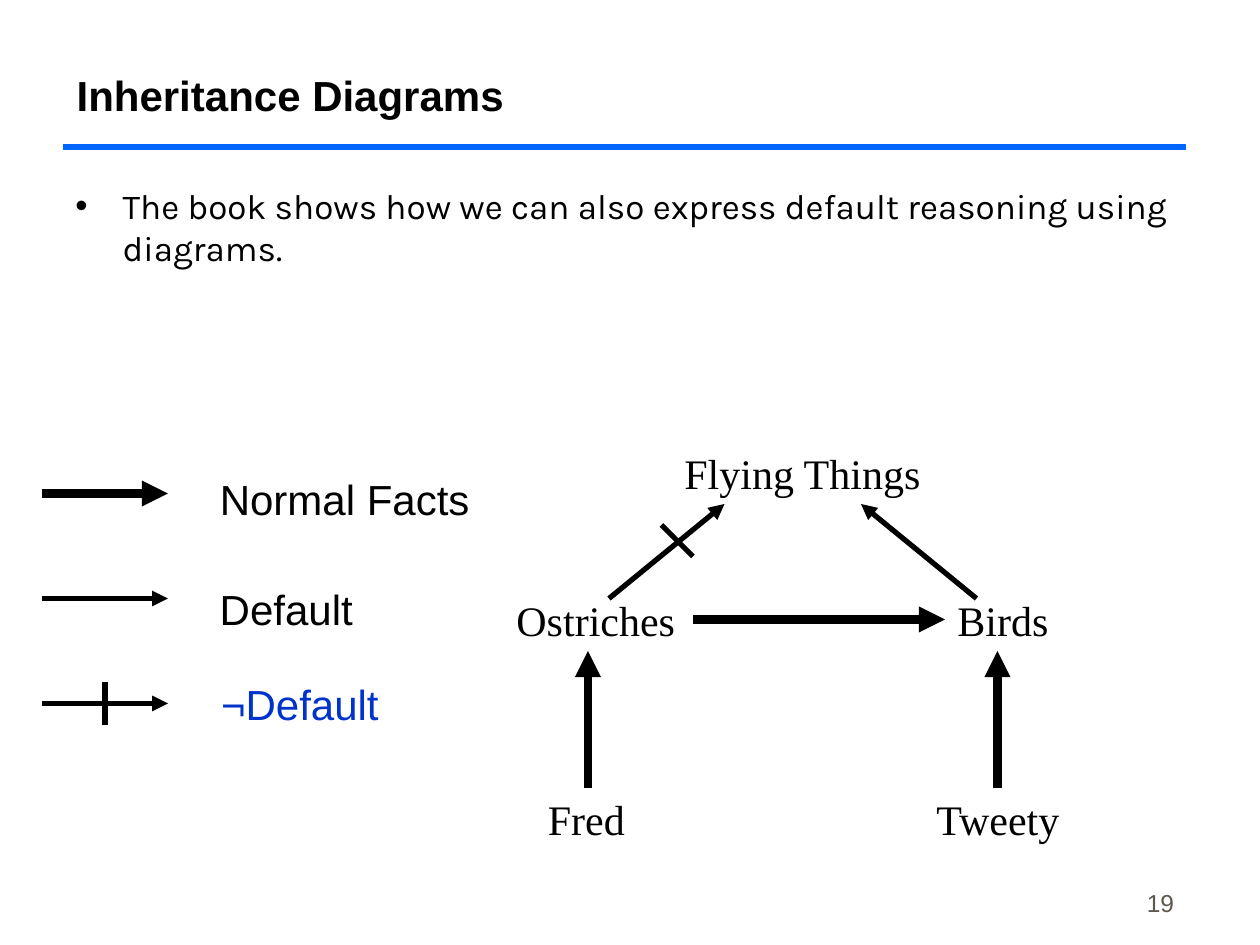
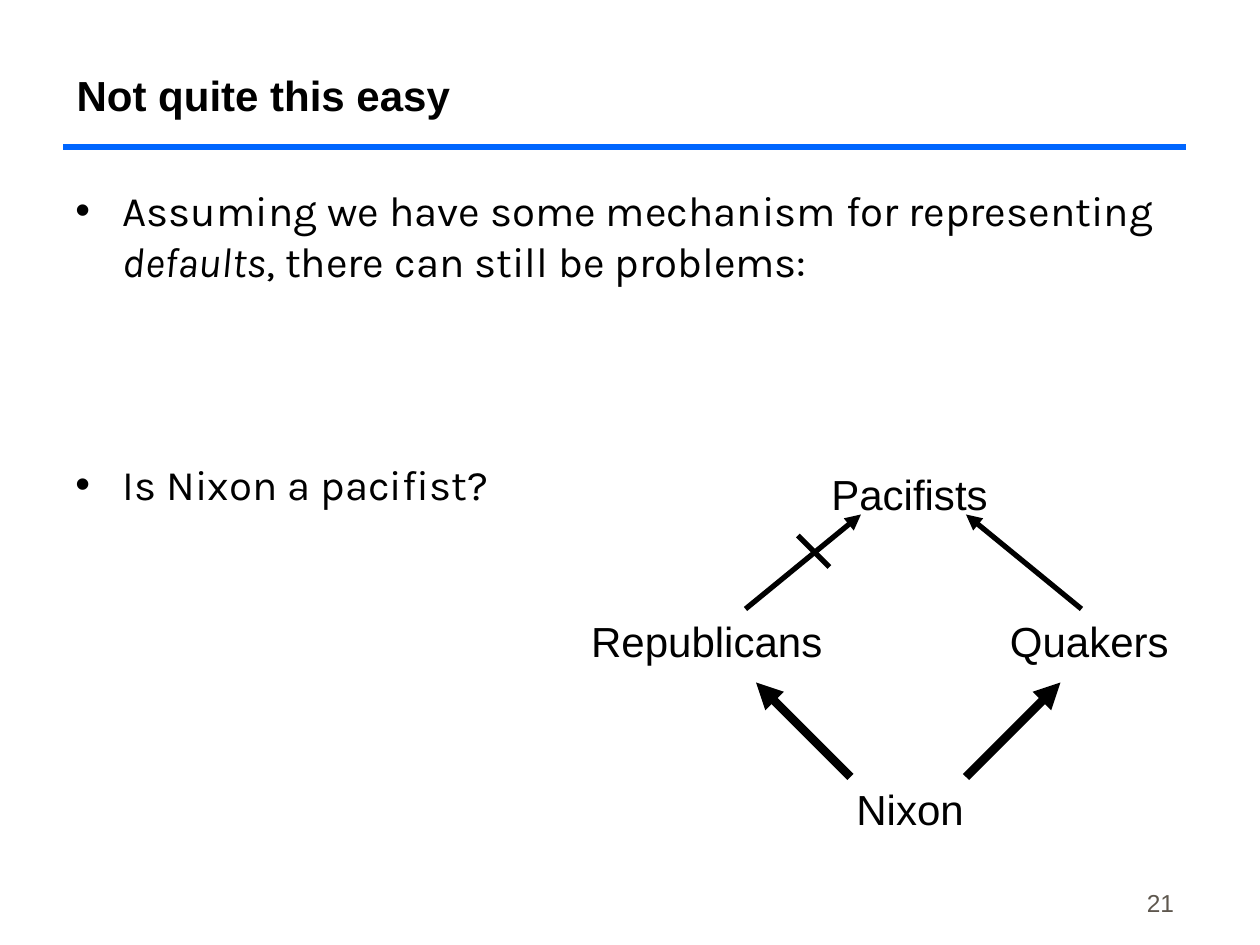
"""Build two slides on default reasoning with inheritance diagrams."""
from lxml.etree import SubElement
from pptx import Presentation
from pptx.dml.color import RGBColor
from pptx.enum.shapes import MSO_CONNECTOR
from pptx.enum.text import MSO_ANCHOR, PP_ALIGN
from pptx.oxml.ns import qn
from pptx.util import Pt

PX = 9525
BLACK = RGBColor(0x00, 0x00, 0x00)
RULE_BLUE = RGBColor(0x00, 0x66, 0xFF)
LABEL_BLUE = RGBColor(0x00, 0x33, 0xCC)
NUMBER_GREY = RGBColor(0x5E, 0x57, 0x4E)
THIN, THICK = 3, 5
INDENT = 36

SLIDES = [
    {
        "title": "Inheritance Diagrams",
        "number": "19",
        "body_height": 139,
        "body_size": 20,
        "bullets": [
            (5, ["The book shows how we can also express default reasoning using diagrams."]),
        ],
        "node_font": "Times New Roman",
        "nodes": [
            ("Flying Things", 512, 336, 206),
            ("Birds", 720, 448, 94),
            ("Ostriches", 384, 448, 146),
            ("Fred", 408, 600, 84),
            ("Tweety", 704, 600, 121),
        ],
        "arrows": [
            (448, 600, 448, 496, THICK),
            (760, 600, 760, 496, THICK),
            (528, 472, 720, 472, THICK),
            (464, 456, 552, 384, THIN),
            (744, 456, 656, 384, THIN),
        ],
        "strikes": [(528, 424, 504, 400), (80, 552, 80, 520)],
        "legend": [
            ("Normal Facts", 158, 356, 215, BLACK, THICK),
            ("Default", 158, 440, 126, BLACK, THIN),
            ("¬Default", 159, 512, 147, LABEL_BLUE, THIN),
        ],
    },
    {
        "title": "Not quite this easy",
        "number": "21",
        "body_height": 500,
        "body_size": 24,
        "bullets": [
            (6, ["Assuming we have some mechanism for representing ", "defaults",
                 ", there can still be problems:"]),
            (99, ["Is Nixon a pacifist?"]),
        ],
        "node_font": "Arial",
        "nodes": [
            ("Nixon", 643, 592, 107),
            ("Quakers", 760, 464, 146),
            ("Republicans", 441, 464, 201),
            ("Pacifists", 624, 352, 144),
        ],
        "arrows": [
            (736, 592, 808, 520, THICK),
            (648, 592, 576, 520, THICK),
            (824, 464, 736, 392, THIN),
            (568, 464, 656, 392, THIN),
        ],
        "strikes": [(632, 432, 608, 408)],
        "legend": [],
    },
]


def add_text(page, left, top, width, height, text, size=24, font="Arial", color=BLACK):
    box = page.shapes.add_textbox(left * PX, top * PX, width * PX, height * PX)
    frame = box.text_frame
    frame.word_wrap = True
    frame.text = text
    style = frame.paragraphs[0].runs[0].font
    style.size, style.name = Pt(size), font
    style.color.rgb = color
    return frame


def add_line(page, x1, y1, x2, y2, weight, color=BLACK, arrow=False):
    line = page.shapes.add_connector(MSO_CONNECTOR.STRAIGHT, x1 * PX, y1 * PX, x2 * PX, y2 * PX)
    line.line.color.rgb = color
    line.line.width = Pt(weight)
    if arrow:
        SubElement(line.line._get_or_add_ln(), qn("a:tailEnd"), type="triangle")
    SubElement(line._element.spPr, qn("a:effectLst"))


deck = Presentation()
deck.slide_width, deck.slide_height = 960 * PX, 720 * PX

for content in SLIDES:
    page = deck.slides.add_slide(deck.slide_layouts[6])
    add_line(page, 48, 112, 904, 112, THIN, RULE_BLUE)

    number = add_text(page, 704, 656, 200, 48, content["number"], 14, color=NUMBER_GREY)
    number.vertical_anchor = MSO_ANCHOR.BOTTOM
    number.paragraphs[0].alignment = PP_ALIGN.RIGHT

    title = add_text(page, 49, 24, 856, 72, content["title"])
    title.vertical_anchor = MSO_ANCHOR.BOTTOM
    title.paragraphs[0].runs[0].font.bold = True

    box = page.shapes.add_textbox(48 * PX, 136 * PX, 858 * PX, content["body_height"] * PX)
    body = box.text_frame
    body.word_wrap = True
    for index, (space, pieces) in enumerate(content["bullets"]):
        para = body.add_paragraph() if index else body.paragraphs[0]
        para.space_before = Pt(space)
        properties = para._p.get_or_add_pPr()
        properties.set("marL", str(INDENT * PX))
        properties.set("indent", str(-INDENT * PX))
        SubElement(properties, qn("a:buFont"), typeface="Arial")
        SubElement(properties, qn("a:buChar"), char="•")
        for piece in pieces:
            span = para.add_run()
            span.text = piece
            span.font.size, span.font.name = Pt(content["body_size"]), "Karla"
            span.font.color.rgb = BLACK
            span.font.italic = piece == "defaults"

    for text, left, top, width in content["nodes"]:
        add_text(page, left, top, width, 48, text, font=content["node_font"])
    for x1, y1, x2, y2, weight in content["arrows"]:
        add_line(page, x1, y1, x2, y2, weight, arrow=True)
    for row, (text, left, top, width, color, weight) in enumerate(content["legend"]):
        y = 376 + 80 * row
        add_line(page, 32, y, 128, y, weight, arrow=True)
        add_text(page, left, top, width, 48, text, color=color)
    for x1, y1, x2, y2 in content["strikes"]:
        add_line(page, x1, y1, x2, y2, THIN)

deck.save("out.pptx")
